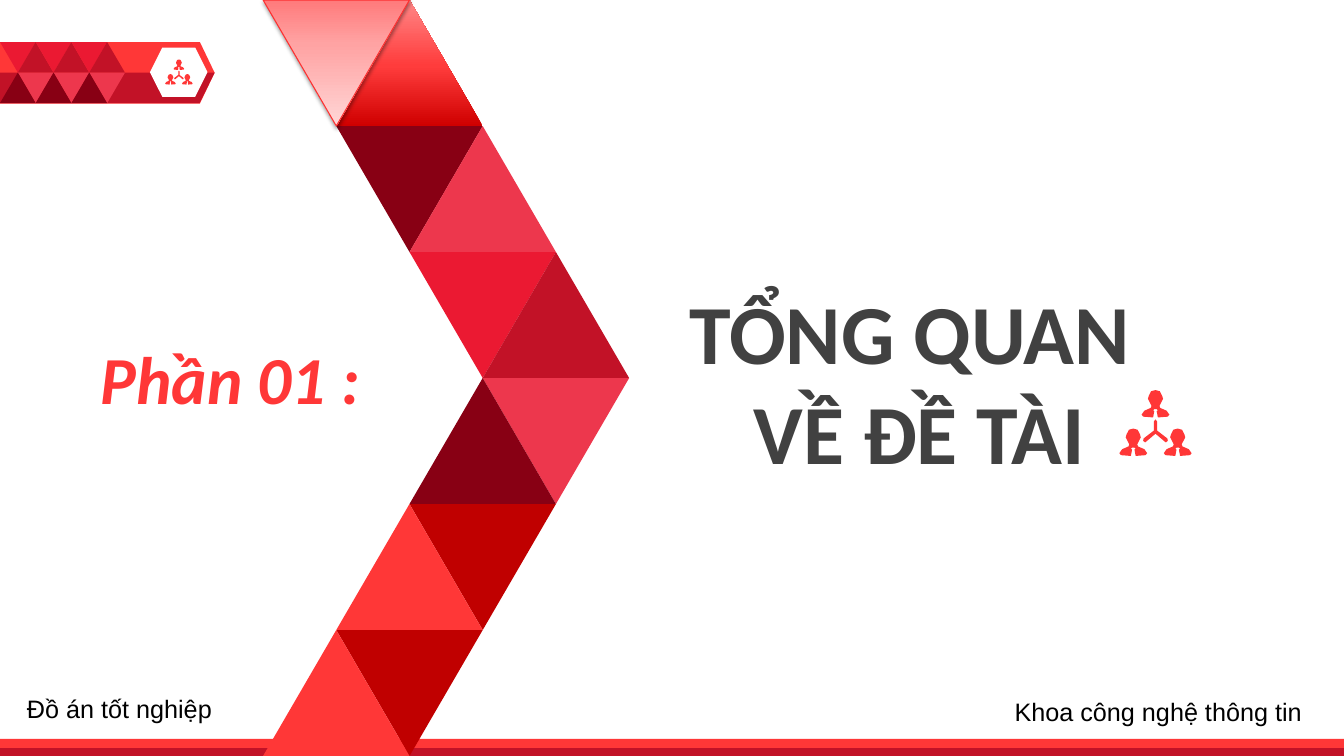
from dataclasses import dataclass
from typing import Sequence

import pptx
import pptx.dml.color
import pptx.enum.shapes
import pptx.enum.text
import pptx.oxml
import pptx.oxml.ns
import pptx.util

Cm = pptx.util.Cm
Pt = pptx.util.Pt
RGBColor = pptx.dml.color.RGBColor
Preset = pptx.enum.shapes.MSO_SHAPE
Align = pptx.enum.text.PP_ALIGN
Point = tuple[float, float]

CORAL = RGBColor(0xFF, 0x37, 0x37)
CRIMSON = RGBColor(0xC2, 0x12, 0x27)
SCARLET = RGBColor(0xEB, 0x19, 0x32)
ROSE = RGBColor(0xED, 0x37, 0x4D)
MAROON = RGBColor(0x88, 0x00, 0x14)
DARK_RED = RGBColor(0xC0, 0x00, 0x00)
EDGE_RED = RGBColor(0xFD, 0x30, 0x30)
CHARCOAL = RGBColor(0x41, 0x41, 0x41)
BLACK = RGBColor(0x00, 0x00, 0x00)
WHITE = RGBColor(0xFF, 0xFF, 0xFF)

DEEP_GRADIENT = ((0, "CF0000"), (48, "FF3C3C"), (100, "FF8787"))
PALE_GRADIENT = ((0, "FF7A7B"), (35, "FFA3A3"), (100, "FFD6D6"))

SLIDE_WIDTH, SLIDE_HEIGHT = 33.87, 19.05

# Right halves of symmetrical outlines, in cm from the top centre
PERSON_HALF = ((0, 0), (0.11, 0.03), (0.17, 0.15), (0.19, 0.22), (0.15, 0.3),
               (0.1, 0.4), (0.12, 0.45), (0.28, 0.52), (0.35, 0.62), (0.31, 0.67),
               (0.06, 0.69), (0.03, 0.53), (0.06, 0.51), (0.03, 0.48))
LINK_HALF = ((0, 0.74), (0.04, 0.79), (0.04, 1.02), (0.3, 1.22), (0.31, 1.28),
             (0.26, 1.32), (0, 1.1))
PERSON_OFFSETS = ((0, 0), (-0.56, 0.97), (0.56, 0.97))


@dataclass(frozen=True)
class Grid:
    left: float
    top: float
    half_width: float
    height: float


@dataclass(frozen=True)
class Triangle:
    column: int
    row: int
    points_up: bool
    colour: RGBColor


@dataclass(frozen=True)
class Caption:
    text: str
    left: float
    top: float
    width: float
    height: float
    font: str
    size: int
    colour: RGBColor
    emphasised: bool = False


RIBBON = Grid(0, 1.06, 0.45, 0.77)
CHEVRON = Grid(6.63, 0, 1.845, SLIDE_HEIGHT / 6)

RIBBON_TRIANGLES = [
    Triangle(2 * repeat + column, row, points_up, colour)
    for repeat in range(3)
    for column, row, points_up, colour in (
        (0, 0, False, SCARLET), (1, 0, True, CRIMSON),
        (1, 1, False, ROSE), (0, 1, True, MAROON))
]
CHEVRON_TRIANGLES = [
    Triangle(1, 1, False, MAROON), Triangle(2, 1, True, ROSE),
    Triangle(2, 2, False, SCARLET), Triangle(3, 2, True, CRIMSON),
    Triangle(3, 3, False, ROSE), Triangle(2, 3, True, MAROON),
    Triangle(2, 4, False, DARK_RED), Triangle(1, 4, True, CORAL),
    Triangle(1, 5, False, DARK_RED), Triangle(0, 5, True, CORAL),
]
CAPTIONS = [
    Caption("Phần 01 :", 2.29, 8.38, 10.46, 2.29, "Calibri", 48, CORAL, True),
    Caption("Đồ án tốt nghiệp", 0.43, 17.35, 7.19, 1.02, "Arial", 18, BLACK),
    Caption("Khoa công nghệ thông tin", 25.32, 17.42, 8.46, 1.02, "Arial", 18, BLACK),
]


def paint(shape, colour: RGBColor) -> None:
    shape.shadow.inherit = False
    shape.fill.solid()
    shape.fill.fore_color.rgb = colour
    shape.line.fill.background()


def add_preset(slide, preset, left: float, top: float, width: float, height: float,
               colour: RGBColor):
    shape = slide.shapes.add_shape(preset, Cm(left), Cm(top), Cm(width), Cm(height))
    paint(shape, colour)
    return shape


def add_outline(slide, contours: Sequence[Sequence[Point]], colour: RGBColor) -> None:
    scaled = [[(Cm(x), Cm(y)) for x, y in contour] for contour in contours]
    builder = slide.shapes.build_freeform(*scaled[0][0])
    for index, (start, *rest) in enumerate(scaled):
        if index:
            builder.move_to(*start)
        builder.add_line_segments(rest, close=True)
    paint(builder.convert_to_shape(), colour)


def add_triangle(slide, grid: Grid, triangle: Triangle):
    shape = add_preset(slide, Preset.ISOSCELES_TRIANGLE,
                       grid.left + triangle.column * grid.half_width,
                       grid.top + triangle.row * grid.height,
                       2 * grid.half_width, grid.height, triangle.colour)
    if not triangle.points_up:
        shape.rotation = 180
    return shape


def set_gradient(shape, stops: Sequence[tuple[int, str]]) -> None:
    """Fill from the base of the shape to its tip."""
    shape.fill.gradient()
    shape.fill.gradient_angle = 90
    stop_list = shape._element.spPr.find(".//" + pptx.oxml.ns.qn("a:gsLst"))
    for old_stop in list(stop_list):
        stop_list.remove(old_stop)
    for position, colour in stops:
        stop_list.append(pptx.oxml.parse_xml(
            f'<a:gs {pptx.oxml.ns.nsdecls("a")} pos="{position * 1000}">'
            f'<a:srgbClr val="{colour}"/></a:gs>'))


def add_soft_shadow(shape) -> None:
    effects = shape._element.spPr.find(pptx.oxml.ns.qn("a:effectLst"))
    effects.append(pptx.oxml.parse_xml(
        f'<a:outerShdw {pptx.oxml.ns.nsdecls("a")} blurRad="{Pt(3.1)}" dist="{Pt(1.6)}" '
        'dir="5400000" rotWithShape="0"><a:srgbClr val="000000">'
        '<a:alpha val="38000"/></a:srgbClr></a:outerShdw>'))


def add_team_icon(slide, centre: float, top: float, scale: float) -> None:
    """Three people joined by a Y-shaped link."""
    def contour(half: Sequence[Point], offset: Point) -> list[Point]:
        mirrored = [(-x, y) for x, y in reversed(half)]
        return [(centre + scale * (x + offset[0]), top + scale * (y + offset[1]))
                for x, y in [*half, *mirrored]]

    people = [contour(PERSON_HALF, offset) for offset in PERSON_OFFSETS]
    add_outline(slide, [*people, contour(LINK_HALF, (0, 0))], CORAL)


def add_caption(slide, caption: Caption) -> None:
    box = slide.shapes.add_textbox(Cm(caption.left), Cm(caption.top),
                                   Cm(caption.width), Cm(caption.height))
    box.text_frame.word_wrap = True
    paragraph = box.text_frame.paragraphs[0]
    paragraph.text = caption.text
    paragraph.font.name = caption.font
    paragraph.font.size = Pt(caption.size)
    paragraph.font.color.rgb = caption.colour
    paragraph.font.bold = paragraph.font.italic = caption.emphasised


def set_title(slide) -> None:
    title = slide.shapes.title
    title.left, title.top = Cm(16.31), Cm(6.93)
    title.width, title.height = Cm(13.72), Cm(5.38)
    frame = title.text_frame
    frame.text = "TỔNG QUAN \nVỀ ĐỀ TÀI"
    frame.word_wrap = True
    frame.auto_size = pptx.enum.text.MSO_AUTO_SIZE.NONE
    frame.vertical_anchor = pptx.enum.text.MSO_ANCHOR.TOP
    for paragraph in frame.paragraphs:
        paragraph.alignment = Align.CENTER
        paragraph.space_before = Pt(0)
        paragraph.font.name = "Calibri"
        paragraph.font.size = Pt(60)
        paragraph.font.bold = True
        paragraph.font.color.rgb = CHARCOAL


def add_ribbon(slide) -> None:
    band = add_preset(slide, Preset.PENTAGON, 0, 1.06, 5.41, 1.55, CORAL)
    band.adjustments[0] = 0.24
    add_outline(slide, [[(0, 1.83), (5.41, 1.83), (5.03, 2.6), (0, 2.6)]], CRIMSON)
    add_preset(slide, Preset.HEXAGON, 3.78, 1.2, 1.45, 1.24, WHITE)
    add_team_icon(slide, 4.51, 1.5, 0.38)
    for triangle in RIBBON_TRIANGLES:
        add_triangle(slide, RIBBON, triangle)


def add_chevron(slide) -> None:
    deep = add_triangle(slide, CHEVRON, Triangle(1, 0, True, CORAL))
    set_gradient(deep, DEEP_GRADIENT)
    for triangle in CHEVRON_TRIANGLES:
        add_triangle(slide, CHEVRON, triangle)
    pale = add_triangle(slide, CHEVRON, Triangle(0, 0, False, CORAL))
    set_gradient(pale, PALE_GRADIENT)
    pale.line.color.rgb = EDGE_RED
    pale.line.width = Pt(0.75)
    add_soft_shadow(pale)


def main() -> None:
    presentation = pptx.Presentation()
    presentation.slide_width = Cm(SLIDE_WIDTH)
    presentation.slide_height = Cm(SLIDE_HEIGHT)
    slide = presentation.slides.add_slide(presentation.slide_layouts[5])
    set_title(slide)
    add_ribbon(slide)
    add_preset(slide, Preset.RECTANGLE, 0, 18.62, SLIDE_WIDTH, 0.43, CORAL)
    add_preset(slide, Preset.RECTANGLE, 0, 18.85, SLIDE_WIDTH, 0.2, CRIMSON)
    add_chevron(slide)
    add_team_icon(slide, 29.12, 9.83, 1)
    for caption in CAPTIONS:
        add_caption(slide, caption)
    presentation.save("out.pptx")


if __name__ == "__main__":
    main()
